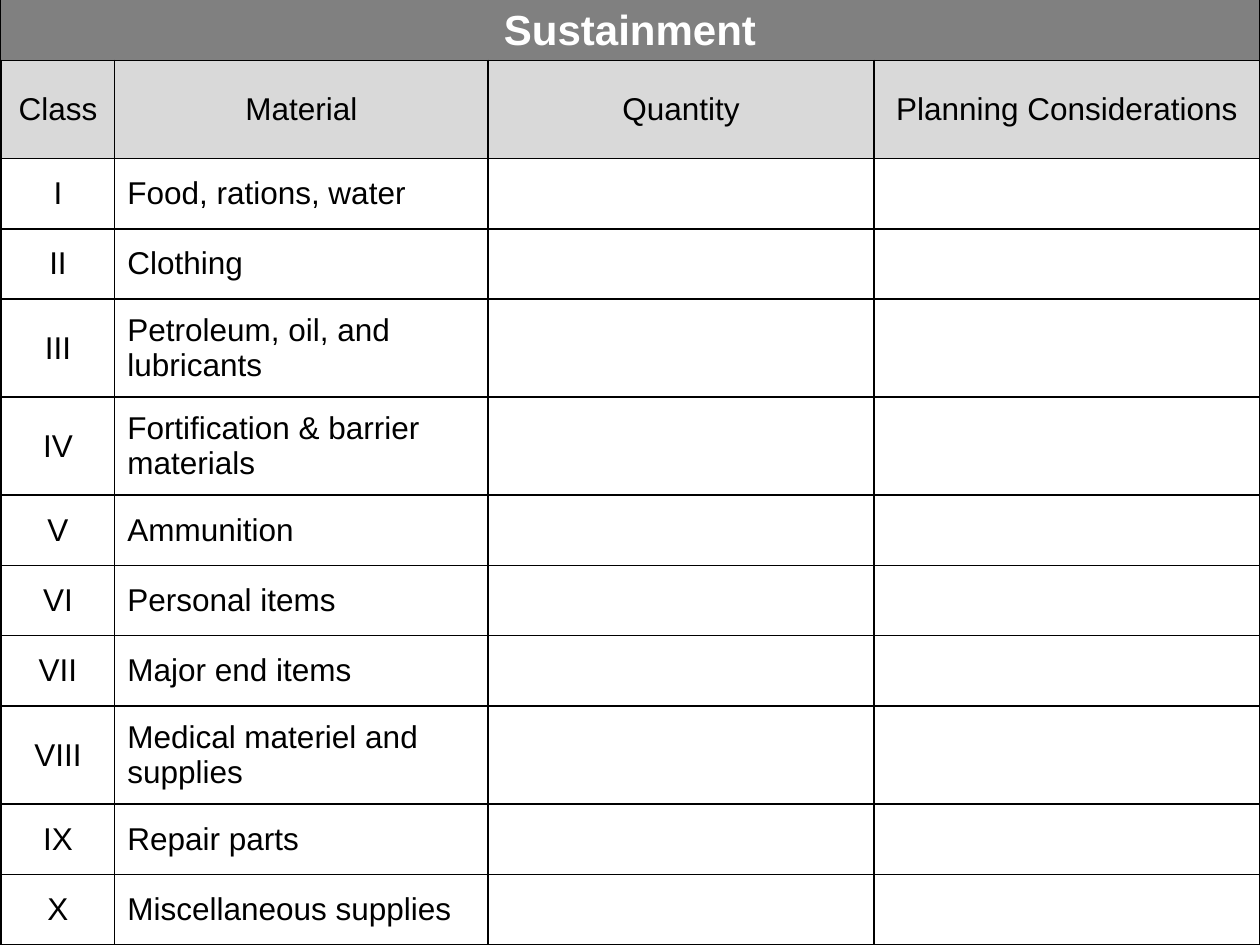
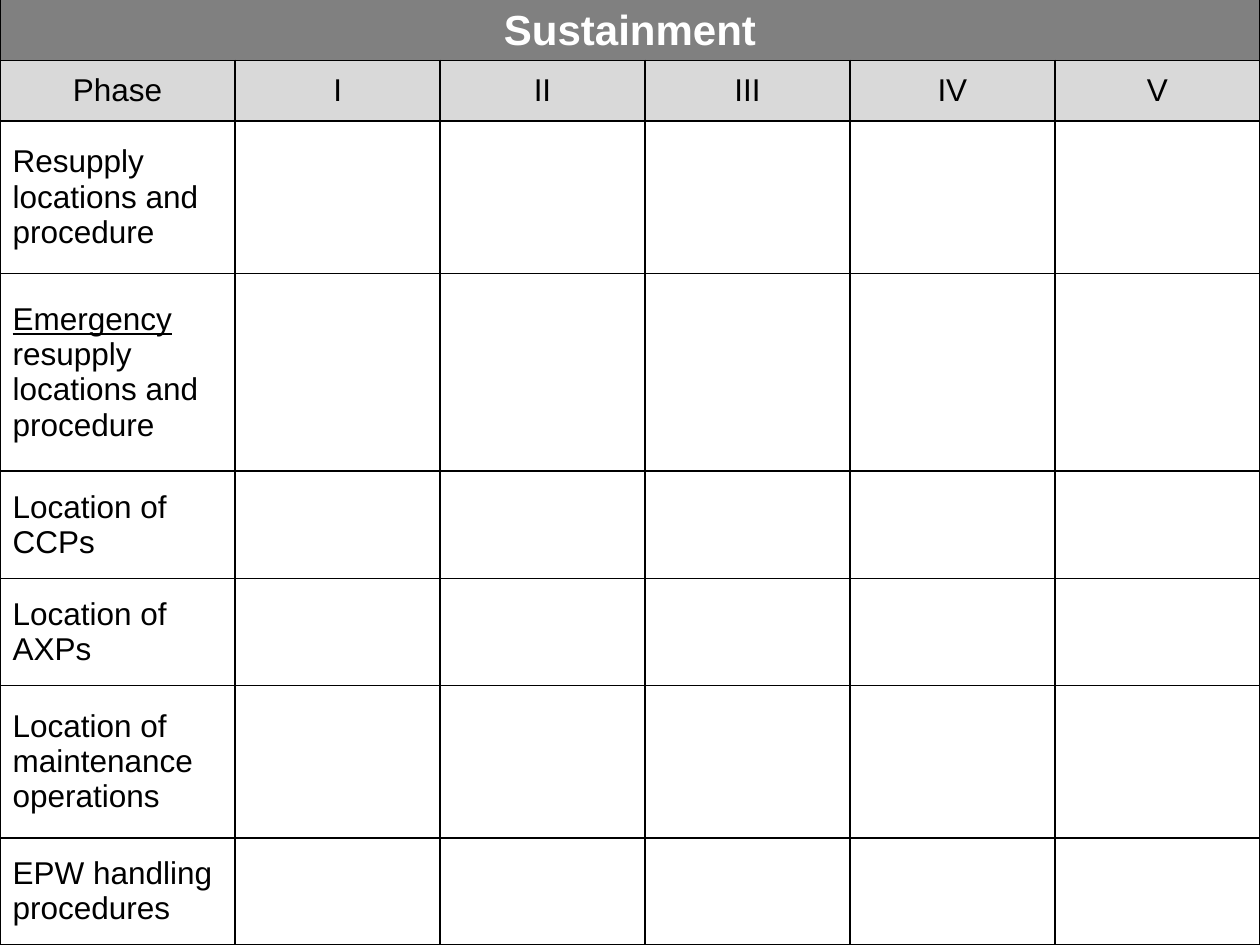
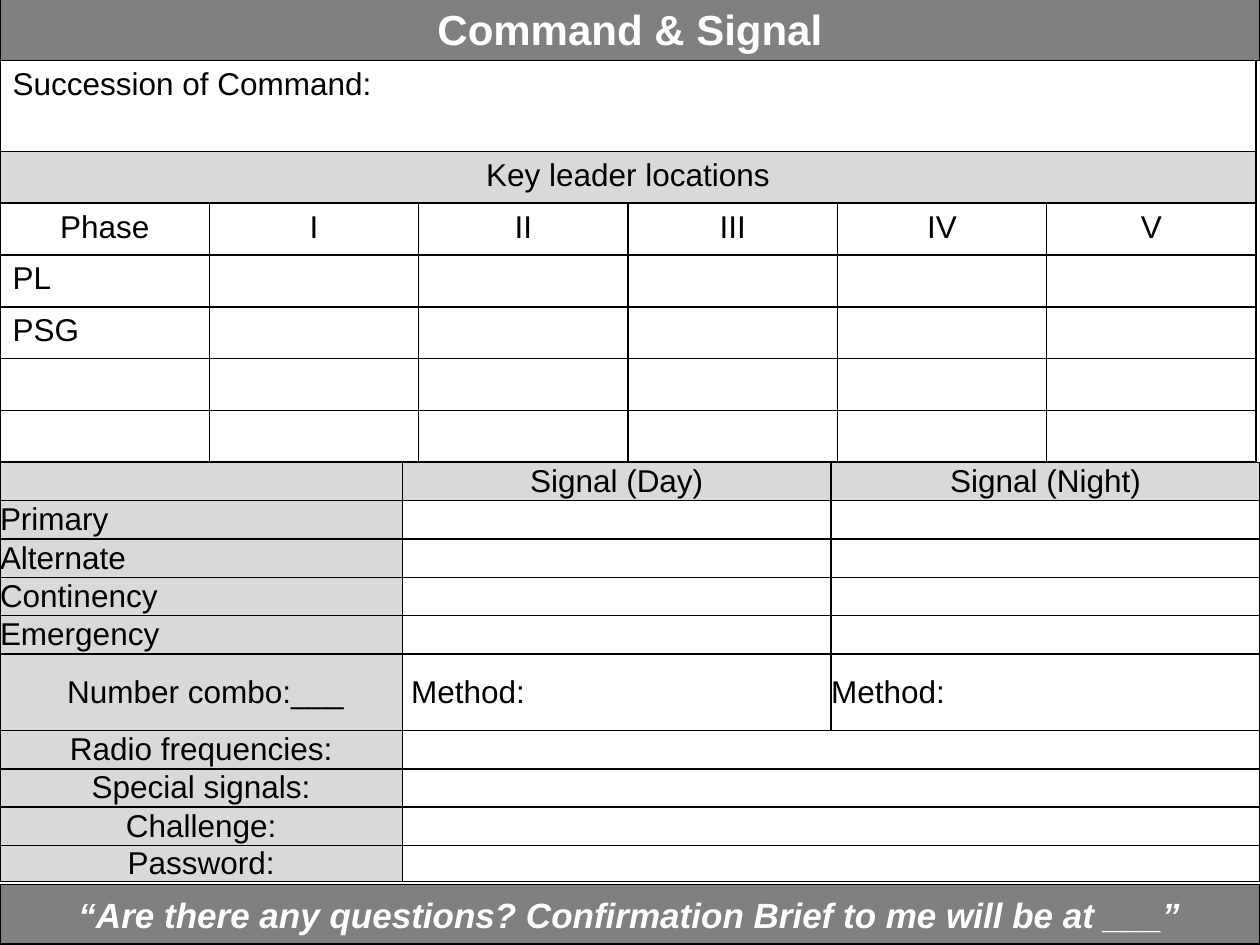
from lxml import etree
from pptx import Presentation
from pptx.dml.color import RGBColor
from pptx.enum.shapes import MSO_SHAPE
from pptx.enum.text import MSO_ANCHOR, PP_ALIGN
from pptx.oxml.ns import qn
from pptx.util import Inches, Pt

RECT = MSO_SHAPE.RECTANGLE
TOP, MIDDLE = MSO_ANCHOR.TOP, MSO_ANCHOR.MIDDLE
LEFT, CENTER = PP_ALIGN.LEFT, PP_ALIGN.CENTER
WIDTH, HEIGHT = 10, 7.5
FONT, BODY_SIZE = "Arial", 18
BLACK, WHITE, BAND_GRAY, HEAD_GRAY = "000000", "FFFFFF", "808080", "D9D9D9"
TITLE_BOX = (0, -0.02, WIDTH, 0.5)
BODY_TOP = 0.48
BODY_HEIGHT = HEIGHT - BODY_TOP
PHASES = ["I", "II", "III", "IV", "V"]

SUPPLY_CLASSES = [
    ("I", "Food, rations, water"),
    ("II", "Clothing"),
    ("III", "Petroleum, oil, and lubricants"),
    ("IV", "Fortification & barrier materials"),
    ("V", "Ammunition"),
    ("VI", "Personal items"),
    ("VII", "Major end items"),
    ("VIII", "Medical materiel and supplies"),
    ("IX", "Repair parts"),
    ("X", "Miscellaneous supplies"),
]
PHASE_TASKS = [
    "Resupply locations and procedure",
    [("Emergency", True), (" resupply locations and procedure", False)],
    "Location of CCPs",
    "Location of AXPs",
    "Location of maintenance operations",
    "EPW handling procedures",
]
LEADER_ROWS = [["Succession of Command:"], ["Key leader locations"],
               ["Phase"] + PHASES, ["PL"], ["PSG"], [], []]
SIGNAL_ROWS = [
    ["", "Signal (Day)", "Signal (Night)"],
    ["Primary"], ["Alternate"], ["Continency"], ["Emergency"],
    [" Number combo:___", " Method:", "Method:"],
    ["Radio frequencies:"], ["Special signals:"], ["Challenge:"], ["Password:"],
]


def rgb(value):
    """Turn a hex string into a colour."""
    return RGBColor.from_string(value)


def add_run(p, text, size, color, bold=None, italic=None, underline=None):
    """Add one styled run to a paragraph."""
    r = p.add_run()
    r.text = text
    r.font.name, r.font.size = FONT, Pt(size)
    r.font.color.rgb = rgb(color)
    r.font.bold, r.font.italic, r.font.underline = bold, italic, underline


def add_band(s, box, text, size=24, italic=None):
    """Draw a gray band with centred bold text."""
    sp = s.shapes.add_shape(RECT, *map(Inches, box))
    sp.shadow.inherit = False
    sp.fill.solid()
    sp.fill.fore_color.rgb = rgb(BAND_GRAY)
    sp.line.color.rgb = rgb(BLACK)
    sp.line.width = Pt(1)
    tf = sp.text_frame
    tf.word_wrap = True
    tf.vertical_anchor = MIDDLE
    p = tf.paragraphs[0]
    p.alignment = CENTER
    add_run(p, text, size, WHITE, bold=True, italic=italic)


def add_borders(cell):
    """Give a cell thin black lines on all four sides."""
    tc_pr = cell._tc.get_or_add_tcPr()
    for side in ("lnL", "lnR", "lnT", "lnB"):
        ln = etree.SubElement(tc_pr, qn(f"a:{side}"), w=str(Pt(1)))
        fill = etree.SubElement(ln, qn("a:solidFill"))
        etree.SubElement(fill, qn("a:srgbClr"), val=BLACK)


def fill_cell(cell, content, align, anchor, color, flush):
    """Style a cell and write its text, given as a string or as runs."""
    add_borders(cell)
    cell.fill.solid()
    cell.fill.fore_color.rgb = rgb(color)
    cell.vertical_anchor = anchor
    if flush:
        cell.margin_left = cell.margin_right = 0
        cell.margin_top = cell.margin_bottom = 0
    p = cell.text_frame.paragraphs[0]
    p.alignment = align
    if not content:
        end = etree.SubElement(p._p, qn("a:endParaRPr"), sz=str(BODY_SIZE * 100))
        etree.SubElement(end, qn("a:latin"), typeface=FONT)
        return
    runs = [(content, None)] if isinstance(content, str) else content
    for text, underline in runs:
        add_run(p, text, BODY_SIZE, BLACK, underline=underline)


def add_grid(s, box, cols, rows, texts, centred, shaded,
             spans=(), anchor=MIDDLE, flush=False):
    """Draw a table whose column and row weights share out the box."""
    frame = s.shapes.add_table(len(rows), len(cols), *map(Inches, box))
    table = frame.table
    table.first_row = table.horz_banding = False
    for tracks, weights, attr, length in ((table.columns, cols, "width", box[2]),
                                          (table.rows, rows, "height", box[3])):
        for track, weight in zip(tracks, weights):
            setattr(track, attr, Inches(length * weight / sum(weights)))
    for i in range(len(rows)):
        for j in range(len(cols)):
            content = texts[i][j] if j < len(texts[i]) else ""
            fill_cell(table.cell(i, j), content,
                      CENTER if centred(i, j) else LEFT, anchor,
                      HEAD_GRAY if shaded(i, j) else WHITE, flush)
    for row, first_col in spans:
        table.cell(row, first_col).merge(table.cell(row, len(cols) - 1))


def add_supply_slide(s):
    """List the classes of supply."""
    add_band(s, TITLE_BOX, "Sustainment")
    header = ["Class", "Material", "Quantity", "Planning Considerations"]
    tall_rows = (0, 3, 4, 8)
    add_grid(s, (0.01, BODY_TOP, WIDTH - 0.01, BODY_HEIGHT),
             [0.9, 2.96, 3.06, 3.06],
             [0.78 if i in tall_rows else 0.56 for i in range(11)],
             [header] + SUPPLY_CLASSES,
             centred=lambda i, j: i == 0 or j == 0,
             shaded=lambda i, j: i == 0)


def add_phase_slide(s):
    """Set the sustainment tasks against the phases."""
    add_band(s, TITLE_BOX, "Sustainment")
    add_grid(s, (0, BODY_TOP, WIDTH, BODY_HEIGHT),
             [1.87] + [1.63] * len(PHASES),
             [0.48, 1.21, 1.57, 0.85, 0.85, 1.21, 0.85],
             [["Phase"] + PHASES] + [[task] for task in PHASE_TASKS],
             centred=lambda i, j: i == 0,
             shaded=lambda i, j: i == 0)


def add_leader_table(s, box):
    """Show the succession of command and the leader locations."""
    add_grid(s, box, [1] * 6, [0.72] + [0.41] * 6, LEADER_ROWS,
             centred=lambda i, j: i in (1, 2),
             shaded=lambda i, j: i == 1,
             spans=[(0, 0), (1, 0)], anchor=TOP)


def add_signal_table(s, box):
    """Show the signal plan by day and night."""
    add_grid(s, box, [3.19, 3.4, 3.4], [1] * 5 + [2] + [1] * 3 + [0.95], SIGNAL_ROWS,
             centred=lambda i, j: i == 0 or (i > 4 and j == 0),
             shaded=lambda i, j: i == 0 or j == 0,
             spans=[(i, 1) for i in range(6, 10)], flush=True)


def add_command_slide(s):
    """Stack the command and signal tables between two bands."""
    add_leader_table(s, (0, BODY_TOP, 9.97, 3.19))
    add_band(s, TITLE_BOX, "Command & Signal")
    add_signal_table(s, (0, BODY_TOP + 3.19, WIDTH, 3.33))
    add_band(s, (0, 7.02, WIDTH, 0.47),
             "“Are there any questions? Confirmation Brief to me will be at ___”",
             size=20, italic=True)


def main():
    """Build the deck and save it."""
    prs = Presentation()
    prs.slide_width, prs.slide_height = Inches(WIDTH), Inches(HEIGHT)
    for build in (add_supply_slide, add_phase_slide, add_command_slide):
        build(prs.slides.add_slide(prs.slide_layouts[6]))
    prs.save("out.pptx")


if __name__ == "__main__":
    main()
